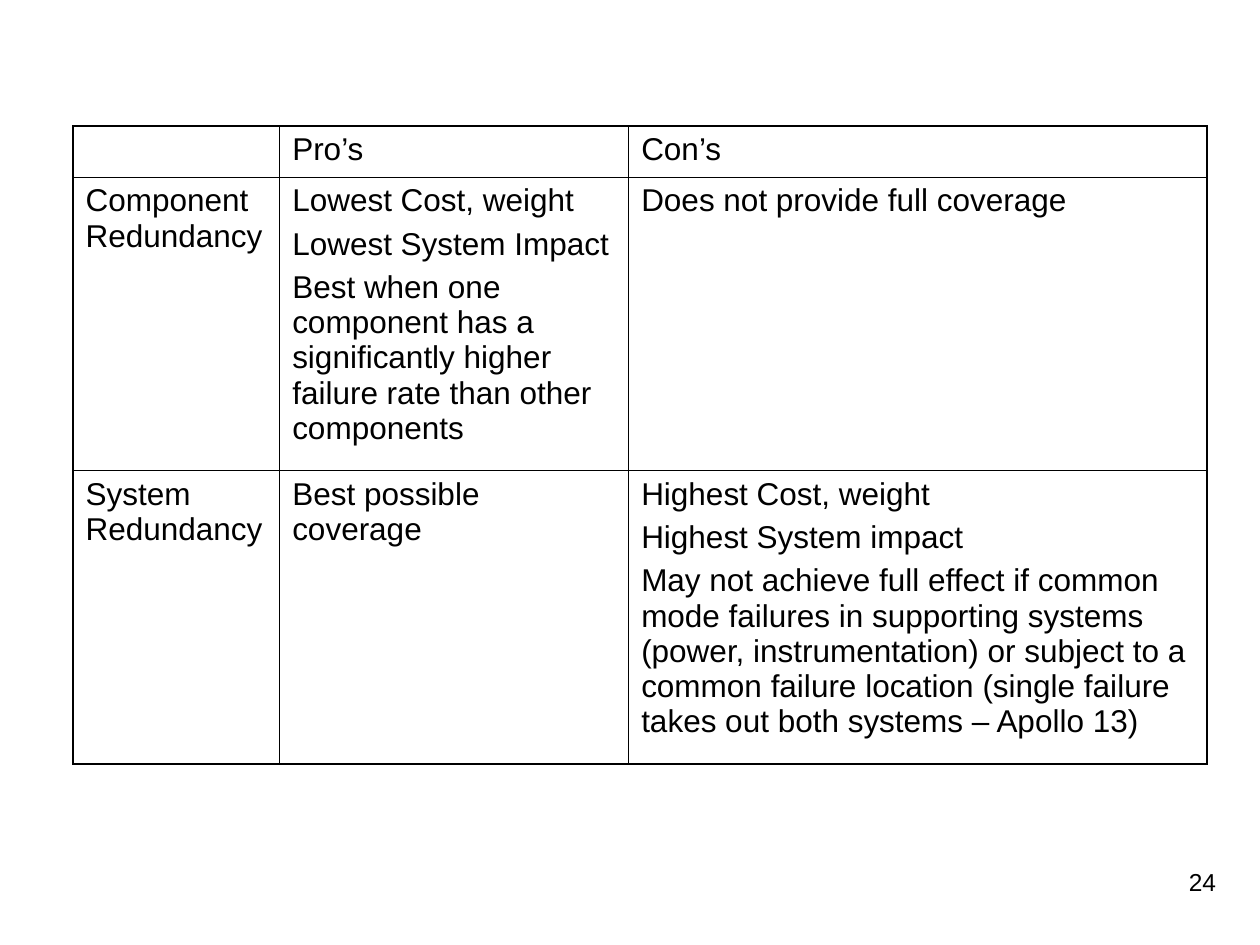
from lxml import etree
from pptx import Presentation
from pptx.dml.color import RGBColor
from pptx.enum.text import PP_ALIGN
from pptx.oxml.ns import qn
from pptx.util import Inches, Pt

RIGHT = PP_ALIGN.RIGHT
BLACK = RGBColor(0, 0, 0)
FONT = "Arial"
THIN, THICK = Pt(0.45), Pt(1.08)
COLUMN_WIDTHS = [1.64, 2.77, 4.59]
ROW_HEIGHTS = [0.4, 2.33, 2.33]
COMPARISON = [
    [[], ["Pro’s"], ["Con’s"]],
    [
        ["Component Redundancy"],
        [
            "Lowest Cost, weight",
            "Lowest System Impact",
            "Best when one component has a significantly higher failure rate "
            "than other components",
        ],
        ["Does not provide full coverage"],
    ],
    [
        ["System Redundancy"],
        ["Best possible coverage"],
        [
            "Highest Cost, weight",
            "Highest System impact",
            "May not achieve full effect if common mode failures in supporting "
            "systems (power, instrumentation) or subject to a common failure "
            "location (single failure takes out both systems – Apollo 13)",
        ],
    ],
]


def add_span(para, text, size):
    span = para.add_run()
    span.text = text
    span.font.name = FONT
    span.font.size = Pt(size)
    span.font.color.rgb = BLACK


def set_borders(cell, widths):
    properties = cell._tc.get_or_add_tcPr()
    for position, (side, width) in enumerate(widths.items()):
        line = etree.Element(qn(f"a:{side}"), w=str(width))
        fill = etree.SubElement(line, qn("a:solidFill"))
        etree.SubElement(fill, qn("a:srgbClr"), val=str(BLACK))
        properties.insert(position, line)


def fill_cell(cell, lines):
    cell.fill.background()
    frame = cell.text_frame
    for index, text in enumerate(lines):
        para = frame.add_paragraph() if index else frame.paragraphs[0]
        if index:
            para.space_before = Pt(4.5)
        add_span(para, text, 18)


def add_comparison(page, left, top, width, height):
    last_row, last_column = len(ROW_HEIGHTS) - 1, len(COLUMN_WIDTHS) - 1
    table = page.shapes.add_table(
        last_row + 1, last_column + 1, left, top, width, height
    ).table
    table.first_row = False
    table.horz_banding = False
    for column, size in zip(table.columns, COLUMN_WIDTHS):
        column.width = Inches(size)
    for row, size in zip(table.rows, ROW_HEIGHTS):
        row.height = Inches(size)
    for r, row in enumerate(COMPARISON):
        for c, lines in enumerate(row):
            cell = table.cell(r, c)
            fill_cell(cell, lines)
            set_borders(cell, {
                "lnL": THICK if c == 0 else THIN,
                "lnR": THICK if c == last_column else THIN,
                "lnT": THICK if r == 0 else THIN,
                "lnB": THICK if r == last_row else THIN,
            })


def add_page_number(page, left, top, width, height):
    box = page.shapes.add_textbox(left, top, width, height)
    box.text_frame.word_wrap = True
    para = box.text_frame.paragraphs[0]
    para.alignment = RIGHT
    add_span(para, "24", 14)


def main():
    deck = Presentation()
    deck.slide_width, deck.slide_height = Inches(10), Inches(7.5)
    page = deck.slides.add_slide(deck.slide_layouts[6])
    add_comparison(page, Inches(0.58), Inches(1), Inches(9), Inches(5.06))
    add_page_number(page, Inches(7.42), Inches(6.83), Inches(2.33), Inches(0.52))
    deck.save("out.pptx")


if __name__ == "__main__":
    main()
